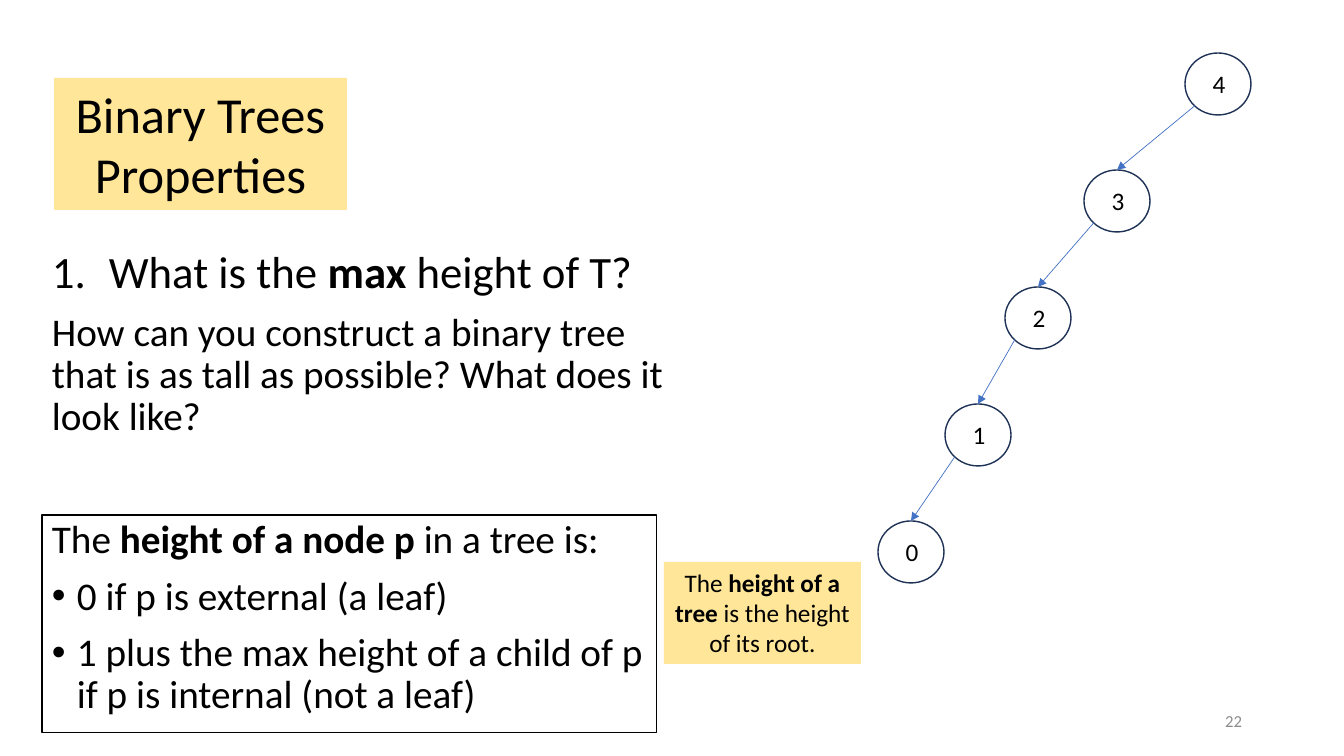
from dataclasses import dataclass

from lxml.etree import SubElement
from pptx import Presentation
from pptx.dml.color import RGBColor
from pptx.enum.shapes import MSO_CONNECTOR, MSO_SHAPE
from pptx.enum.text import MSO_ANCHOR, PP_ALIGN
from pptx.oxml.ns import qn
from pptx.util import Pt

EMU_PER_PX = 914400 / 100.8


@dataclass(frozen=True)
class Theme:
    font: str = "Calibri"
    text: str = "000000"
    highlight: str = "FFE699"
    node_line: str = "1E3256"
    arrow: str = "4472C4"
    muted: str = "8C8C8C"
    title: int = 36
    question: int = 32
    body: int = 28
    note: int = 18
    footer: int = 12


THEME = Theme()
NODE_W, NODE_H, LEVEL_STEP = 66, 62, 117
# Height of each node with its left edge, from the root down
NODES = [(4, 1185), (3, 1084), (2, 1005), (1, 945), (0, 878)]
ROOT_TOP = 53


def px(*lengths):
    return [round(n * EMU_PER_PX) for n in lengths]


def rgb(color):
    return RGBColor.from_string(color)


def add_text(tf, text, size, color=THEME.text, align=PP_ALIGN.LEFT, spacing=None,
             before=0, indent=0, bullet=None):
    """Add one paragraph; **marks** enclose bold words, a newline breaks the line."""
    p = tf.paragraphs[0] if not tf.text else tf.add_paragraph()
    p.alignment = align
    p.line_spacing = spacing
    p.space_before = Pt(before)
    for i, part in enumerate(text.split("**")):
        for j, line in enumerate(part.split("\n")):
            if j:
                p.add_line_break()
            if line:
                r = p.add_run()
                r.text = line
                r.font.name, r.font.size = THEME.font, Pt(size)
                r.font.bold = i % 2 == 1
                r.font.color.rgb = rgb(color)
    if bullet:
        pPr = p._p.get_or_add_pPr()
        hang = px(indent)[0]
        pPr.set("marL", str(hang))
        pPr.set("indent", str(-hang))
        if bullet == "number":
            SubElement(pPr, qn("a:buFont"), typeface="+mj-lt")
            SubElement(pPr, qn("a:buAutoNum"), type="arabicPeriod")
        else:
            SubElement(pPr, qn("a:buFont"), typeface="Arial")
            SubElement(pPr, qn("a:buChar"), char=bullet)
    return p


def add_text_box(shapes, box, anchor=MSO_ANCHOR.TOP):
    tf = shapes.add_textbox(*px(*box)).text_frame
    tf.word_wrap = True
    tf.vertical_anchor = anchor
    return tf


def add_panel(shapes, box, kind=MSO_SHAPE.RECTANGLE, fill=None, line=None, width=1):
    sp = shapes.add_shape(kind, *px(*box))
    sp.shadow.inherit = False
    if fill:
        sp.fill.solid()
        sp.fill.fore_color.rgb = rgb(fill)
    else:
        sp.fill.background()
    if line:
        sp.line.color.rgb = rgb(line)
        sp.line.width = Pt(width)
    else:
        sp.line.fill.background()
    tf = sp.text_frame
    tf.word_wrap = True
    tf.vertical_anchor = MSO_ANCHOR.TOP
    return tf


def add_node(shapes, height, left, top):
    tf = add_text_box(shapes, (left - 17, top + 10, 102, 40))
    add_text(tf, str(height), THEME.note, align=PP_ALIGN.CENTER)
    add_panel(shapes, (left, top, NODE_W, NODE_H), MSO_SHAPE.OVAL, line=THEME.node_line)


def add_arrow(shapes, x1, y1, x2, y2):
    cxn = shapes.add_connector(MSO_CONNECTOR.STRAIGHT, *px(x1, y1, x2, y2))
    cxn.line.color.rgb = rgb(THEME.arrow)
    cxn.line.width = Pt(0.5)
    SubElement(cxn.line._get_or_add_ln(), qn("a:tailEnd"), type="triangle")
    SubElement(cxn._element.spPr, qn("a:effectLst"))


def add_tree(s):
    shapes = s.shapes.add_group_shape().shapes
    tops = [ROOT_TOP + LEVEL_STEP * i for i in range(len(NODES))]
    for (height, left), top in zip(NODES, tops):
        add_node(shapes, height, left, top)
    # Each arrow leaves the lower left of a parent and meets the top of its child
    for (_, left), top, (_, child), child_top in zip(NODES, tops, NODES[1:], tops[1:]):
        add_arrow(shapes, left + 0.15 * NODE_W, top + 0.85 * NODE_H,
                  child + NODE_W / 2, child_top)


def main():
    prs = Presentation()
    prs.slide_width, prs.slide_height = px(1344, 756)
    s = prs.slides.add_slide(prs.slide_layouts[6])
    loose = {"spacing": 0.9, "before": 10}

    # Question
    tf = add_text_box(s.shapes, (42, 245, 664, 229))
    add_text(tf, "What is the **max** height of T?", THEME.question,
             indent=57, bullet="number", **loose)
    add_text(tf, "How can you construct a binary tree that is as tall as possible? "
             "What does it look like?", THEME.body, **loose)

    # Title
    tf = add_panel(s.shapes, (54, 78, 293, 132), fill=THEME.highlight)
    add_text(tf, "Binary Trees Properties", THEME.title, align=PP_ALIGN.CENTER)

    # Definition of node height
    tf = add_panel(s.shapes, (42, 515, 615, 218), line=THEME.text, width=0.75)
    add_text(tf, "The **height of a node p **in a tree is:", THEME.body, **loose)
    for case in ("0 if p is external (a leaf)",
                 "1 plus the max height of a child of p\nif p is internal (not a leaf)"):
        add_text(tf, case, THEME.body, indent=25, bullet="•", **loose)

    # Definition of tree height
    tf = add_panel(s.shapes, (664, 562, 197, 102), fill=THEME.highlight)
    add_text(tf, "The **height of a tree **is the height of its root.", THEME.note,
             align=PP_ALIGN.CENTER)

    add_tree(s)

    # Slide number
    tf = add_text_box(s.shapes, (950, 701, 302, 40), MSO_ANCHOR.MIDDLE)
    add_text(tf, "22", THEME.footer, THEME.muted, PP_ALIGN.RIGHT)

    prs.save("out.pptx")


main()
